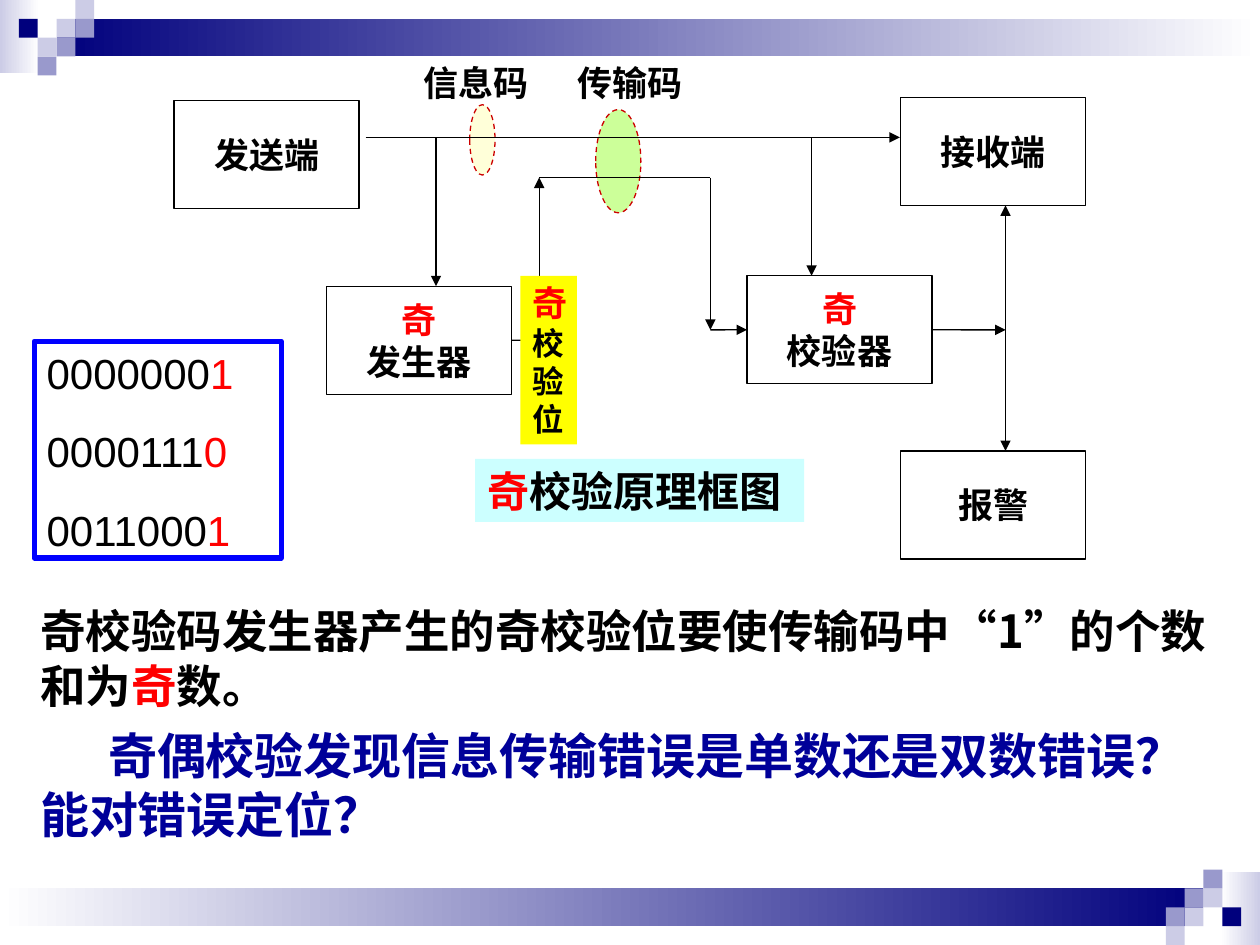
"""Build the odd-parity check block diagram slide."""
from dataclasses import dataclass

from lxml.etree import SubElement
from pptx import Presentation
from pptx.dml.color import RGBColor
from pptx.enum.dml import MSO_LINE
from pptx.enum.shapes import MSO_CONNECTOR, MSO_SHAPE
from pptx.enum.text import MSO_ANCHOR, PP_ALIGN
from pptx.oxml.ns import qn
from pptx.util import Cm, Pt


@dataclass(frozen=True)
class Theme:
    black: str = "000000"
    red: str = "FF0000"
    blue: str = "0000FF"
    question: str = "000099"
    navy: str = "00007D"
    mid: str = "9999CC"
    pale: str = "CCCCE6"
    white: str = "FFFFFF"
    yellow: str = "FFFF00"
    caption: str = "CCFFFF"
    info: str = "FFFFD9"
    code: str = "CCFF99"
    dash: str = "CC0000"
    serif: str = "Times New Roman"
    sans: str = "Arial"
    cjk: str = "Noto Sans CJK SC"
    narrow: str = "Cabin"
    small: int = 18
    label: int = 20
    large: int = 24
    body: int = 26
    title: int = 28
    thin: float = 0.75
    thick: float = 3


T = Theme()
WIDTH, HEIGHT = 25.4, 19.05
BOX_W, BOX_H = 3.73, 2.18
CELL = 0.38


def rgb(value):
    return RGBColor.from_string(value)


def add_shape(s, kind, box, fill=None, line=None, width=T.thin):
    sp = s.shapes.add_shape(kind, *map(Cm, box))
    sp.shadow.inherit = False
    if fill:
        sp.fill.solid()
        sp.fill.fore_color.rgb = rgb(fill)
    else:
        sp.fill.background()
    if line:
        sp.line.color.rgb = rgb(line)
        sp.line.width = Pt(width)
    else:
        sp.line.fill.background()
    return sp


def write(sp, paragraphs, size, font, bold=True, align=PP_ALIGN.LEFT,
          anchor=MSO_ANCHOR.TOP, wrap=True, gap=0):
    """Fill a shape with paragraphs of (text, colour[, font[, size]]) runs."""
    tf = sp.text_frame
    tf.word_wrap = wrap
    tf.vertical_anchor = anchor
    for i, runs in enumerate(paragraphs):
        p = tf.add_paragraph() if i else tf.paragraphs[0]
        p.alignment = align
        if i and gap:
            p.space_before = Pt(gap)
        for text, color, *special in runs:
            r = p.add_run()
            r.text = text
            r.font.name = special[0] if special else font
            r.font.size = Pt(special[1] if len(special) > 1 else size)
            r.font.bold = bold
            r.font.color.rgb = rgb(color)


def add_text(s, box, paragraphs, size, font, **options):
    sp = s.shapes.add_textbox(*map(Cm, box))
    write(sp, paragraphs, size, font, **options)
    return sp


def add_block(s, left, top, *paragraphs):
    sp = add_shape(s, MSO_SHAPE.RECTANGLE, (left, top, BOX_W, BOX_H), line=T.black)
    write(sp, paragraphs, T.label, T.serif, align=PP_ALIGN.CENTER,
          anchor=MSO_ANCHOR.MIDDLE)
    return sp


def add_line(s, start, end, ends=("tailEnd",)):
    c = s.shapes.add_connector(MSO_CONNECTOR.STRAIGHT, *map(Cm, start + end))
    c.line.color.rgb = rgb(T.black)
    c.line.width = Pt(T.thin)
    ln = c.line._get_or_add_ln()
    for name in ends:
        SubElement(ln, qn("a:" + name), type="triangle")
    SubElement(c._element.spPr, qn("a:effectLst"))
    return c


def add_corner(s, turned):
    """Draw the gradient bar and checker squares, turned for the bottom right."""
    def place(left, top, w, h, color, fade=False):
        if turned:
            left, top = WIDTH - left - w, HEIGHT - top - h
        sp = add_shape(s, MSO_SHAPE.RECTANGLE, (left, top, w, h), color)
        if fade:
            sp.fill.gradient()
            sp.fill.gradient_angle = 0
            for stop, tone, pos in zip(sp.fill.gradient_stops, (color, T.white), (0, 1)):
                stop.color.rgb = rgb(tone)
                stop.position = pos
        if turned:
            sp.rotation = 180

    place(0, 0, 0.79, 1.47, T.pale, fade=True)
    place(3 * CELL, CELL, WIDTH - 3 * CELL, 2 * CELL, T.navy, fade=True)
    for col, row, color in ((3, 1, T.pale), (4, 0, T.pale), (4, 1, T.mid),
                            (2, 2, T.pale), (1, 1, T.navy), (3, 2, T.mid),
                            (2, 3, T.mid)):
        place(col * CELL, row * CELL, CELL, CELL, color)


def add_diagram(s):
    odd = [("奇", T.red)]
    add_block(s, 3.51, 2.03, [("发送端", T.black)])
    add_block(s, 18.16, 1.96, [("接收端", T.black)])
    generator = add_block(s, 6.58, 5.77, odd, [("发生器", T.black)])
    checker = add_block(s, 15.06, 5.56, odd, [("校验器", T.black)])
    add_block(s, 18.16, 9.09, [("报警", T.black)])

    for box, fill in (((9.47, 2.11, 0.51, 1.42), T.info),
                      ((12.01, 2.21, 0.91, 2.08), T.code)):
        sp = add_shape(s, MSO_SHAPE.OVAL, box, fill, T.dash)
        sp.line.dash_style = MSO_LINE.DASH
    for left, text in ((8.28, "信息码"), (11.4, "传输码")):
        add_text(s, (left, 1.12, 2.62, 1.12), [[(text, T.black)]],
                 T.label, T.serif, wrap=False)

    main_y, check_y, gen_y, in_y = 2.77, 3.58, 6.86, 6.65
    up_x, down_x, alarm_x = 10.87, 14.32, 20.27
    add_line(s, (7.37, main_y), (18.14, main_y))
    add_line(s, (8.79, main_y), (8.79, 5.77))
    add_line(s, (16.36, main_y), (16.36, 5.56))
    add_line(s, (10.31, gen_y), (up_x, gen_y)).begin_connect(generator, 3)
    add_line(s, (up_x, gen_y), (up_x, check_y))
    add_line(s, (up_x, check_y), (down_x, check_y), ends=())
    add_line(s, (down_x, check_y), (down_x, in_y))
    add_line(s, (down_x, in_y), (15.06, in_y)).end_connect(checker, 1)
    add_line(s, (18.79, in_y), (alarm_x, in_y)).begin_connect(checker, 3)
    add_line(s, (alarm_x, 4.14), (alarm_x, 9.09), ends=("headEnd", "tailEnd"))

    sp = add_shape(s, MSO_SHAPE.RECTANGLE, (9.58, 9.25, 6.63, 1.27), T.caption)
    write(sp, [[("奇", T.red), ("校验原理框图", T.black)]], T.large, T.serif, wrap=False)
    sp = add_shape(s, MSO_SHAPE.RECTANGLE, (10.49, 5.56, 1.14, 3.4), T.yellow)
    write(sp, [[("奇", T.red, T.sans, T.label), ("校验位", T.black)]], T.small, T.narrow)


def add_examples(s):
    sp = add_shape(s, MSO_SHAPE.RECTANGLE, (0.69, 6.88, 4.98, 4.37),
                   line=T.blue, width=T.thick)
    codes = (("0000000", "1"), ("0000111", "0"), ("0011000", "1"))
    write(sp, [[(data, T.black), (parity, T.red)] for data, parity in codes],
          T.large, T.sans, bold=False, gap=16)


def add_notes(s):
    add_text(s, (0.56, 12.04, 24.2, 2.46), [[
        ("奇校验码发生器产生的奇校验位要使传输码中", T.black),
        ("“", T.black, T.serif), ("1", T.black), ("”", T.black, T.serif),
        ("的个数和为", T.black), ("奇", T.red), ("数。", T.black)]], T.body, T.cjk)
    sp = add_shape(s, MSO_SHAPE.RECTANGLE, (0.56, 14.5, 24.08, 2.64), T.white)
    write(sp, [[("奇偶校验发现信息传输错误是单数还是双数错误？能对错误定位？", T.question)]],
          T.title, T.sans, anchor=MSO_ANCHOR.MIDDLE)
    pPr = sp.text_frame.paragraphs[0]._p.get_or_add_pPr()
    pPr.set("indent", str(Cm(1.37)))


def main():
    prs = Presentation()
    prs.slide_width, prs.slide_height = Cm(WIDTH), Cm(HEIGHT)
    s = prs.slides.add_slide(prs.slide_layouts[6])
    for turned in (False, True):
        add_corner(s, turned)
    add_diagram(s)
    add_examples(s)
    add_notes(s)
    prs.save("out.pptx")


if __name__ == "__main__":
    main()
